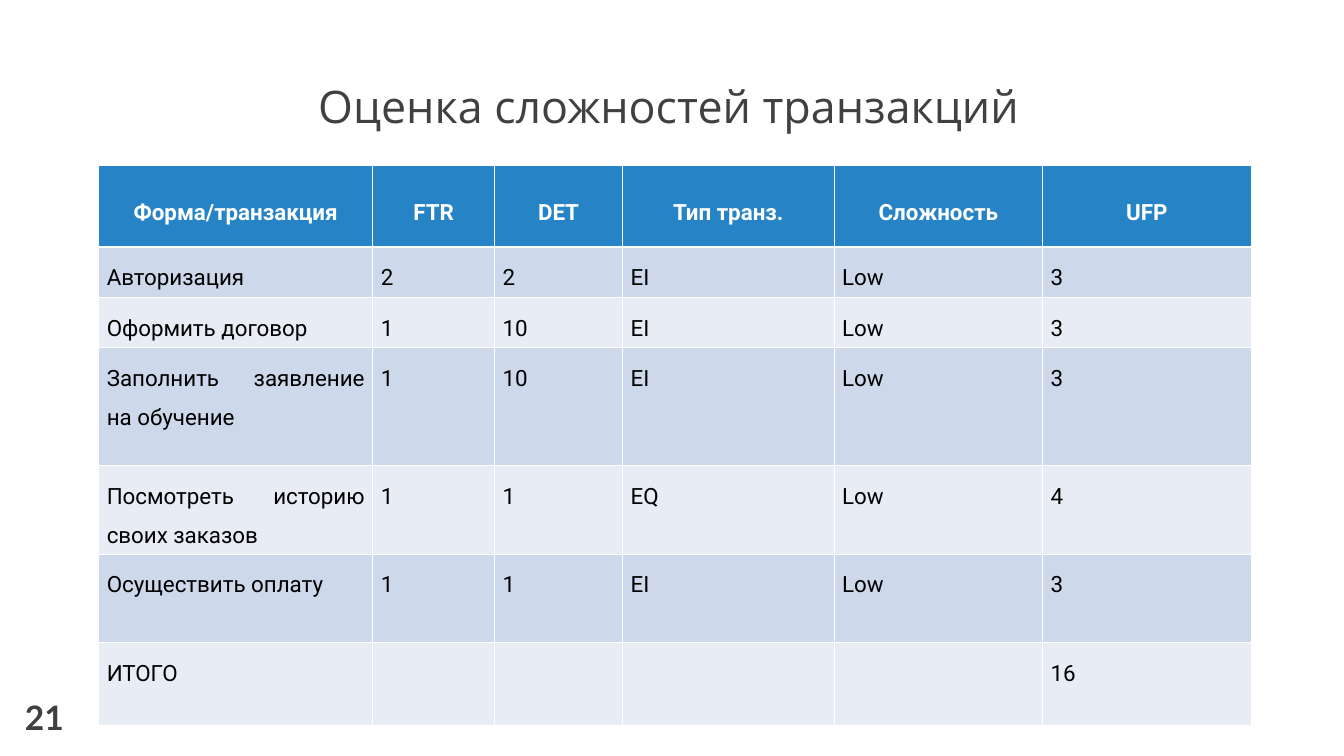
from dataclasses import dataclass

from lxml import etree
from pptx import Presentation
from pptx import util as u
from pptx.dml import color
from pptx.enum import text as t
from pptx.oxml import ns

WHITE, BLACK, GREY = "FFFFFF", "000000", "404040"
BLUE, DARK, LIGHT = "2683C6", "CDD9EA", "E8EDF5"
THIN, THICK = 0.45, 1.47


@dataclass
class Label:
    words: str
    left: float
    top: float
    width: float
    height: float
    font: str
    size: int
    bold: bool = False
    align: t.PP_ALIGN = t.PP_ALIGN.LEFT
    anchor: t.MSO_ANCHOR = t.MSO_ANCHOR.TOP
    lead: float = 1.0


@dataclass
class Row:
    height: float
    cells: tuple


LABELS = [
    Label("Оценка сложностей транзакций", 0.87, 0.13, 11.54, 1.24, "Open Sans", 32,
          align=t.PP_ALIGN.CENTER, anchor=t.MSO_ANCHOR.BOTTOM, lead=0.9),
    Label("21", 0.15, 6.86, 0.63, 0.5, "Lato", 24, bold=True),
]
WIDTHS = (2.72, 1.21, 1.27, 2.1, 2.07, 2.07)
ROWS = [
    Row(0.81, ("Форма/транзакция", "FTR", "DET", "Тип транз.", "Сложность", "UFP")),
    Row(0.5, ("Авторизация", "2", "2", "EI", "Low", "3")),
    Row(0.5, ("Оформить договор", "1", "10", "EI", "Low", "3")),
    Row(1.17, ("Заполнить заявление на обучение", "1", "10", "EI", "Low", "3")),
    Row(0.87, ("Посмотреть историю своих заказов", "1", "1", "EQ", "Low", "4")),
    Row(0.88, ("Осуществить оплату", "1", "1", "EI", "Low", "3")),
    Row(0.82, ("ИТОГО", "", "", "", "", "16")),
]


def paint(code: str) -> color.RGBColor:
    return color.RGBColor.from_string(code)


def write(frame, words: str, *, font: str, size: int, tint: str, bold: bool = False,
          align: t.PP_ALIGN = t.PP_ALIGN.LEFT, lead: float = 1.0) -> None:
    para = frame.paragraphs[0]
    para.alignment = align
    para.line_spacing = lead
    if words:
        para.add_run().text = words
    for face in [para.font] + [run.font for run in para.runs]:
        face.name = font
        face.size = u.Pt(size)
        face.bold = bold
        face.color.rgb = paint(tint)


def border(cell, side: str, width: float) -> None:
    props = cell._tc.get_or_add_tcPr()
    line = etree.SubElement(props, ns.qn(f"a:{side}"), w=str(u.Pt(width)))
    fill = etree.SubElement(line, ns.qn("a:solidFill"))
    etree.SubElement(fill, ns.qn("a:srgbClr"), val=WHITE)


def draw_label(slide, item: Label) -> None:
    box = slide.shapes.add_textbox(*map(u.Inches, (item.left, item.top, item.width, item.height)))
    box.text_frame.word_wrap = True
    box.text_frame.vertical_anchor = item.anchor
    write(box.text_frame, item.words, font=item.font, size=item.size, tint=GREY,
          bold=item.bold, align=item.align, lead=item.lead)


def draw_cell(cell, words: str, index: int) -> None:
    head = index == 0
    cell.margin_left = cell.margin_right = u.Inches(0.08)
    cell.margin_top = cell.margin_bottom = u.Inches(0.05)
    cell.vertical_anchor = t.MSO_ANCHOR.MIDDLE if head else t.MSO_ANCHOR.TOP
    border(cell, "lnL", THIN)
    border(cell, "lnR", THIN)
    border(cell, "lnT", THICK if index == 1 else THIN)
    border(cell, "lnB", THICK if head else THIN)
    cell.fill.solid()
    cell.fill.fore_color.rgb = paint(BLUE if head else DARK if index % 2 else LIGHT)
    write(cell.text_frame, words, font="Roboto", size=16, tint=WHITE if head else BLACK,
          bold=head, align=t.PP_ALIGN.CENTER if head else t.PP_ALIGN.JUSTIFY, lead=1.5)


def draw_table(slide) -> None:
    size = sum(WIDTHS), sum(row.height for row in ROWS)
    grid = slide.shapes.add_table(len(ROWS), len(WIDTHS),
                                  *map(u.Inches, (0.98, 1.64, *size))).table
    for column, width in zip(grid.columns, WIDTHS):
        column.width = u.Inches(width)
    for index, row in enumerate(ROWS):
        grid.rows[index].height = u.Inches(row.height)
        for place, words in enumerate(row.cells):
            draw_cell(grid.cell(index, place), words, index)


def main() -> None:
    deck = Presentation()
    deck.slide_width, deck.slide_height = u.Inches(13.34), u.Inches(7.5)
    slide = deck.slides.add_slide(deck.slide_layouts[6])
    draw_table(slide)
    for item in LABELS:
        draw_label(slide, item)
    deck.save("out.pptx")


if __name__ == "__main__":
    main()
